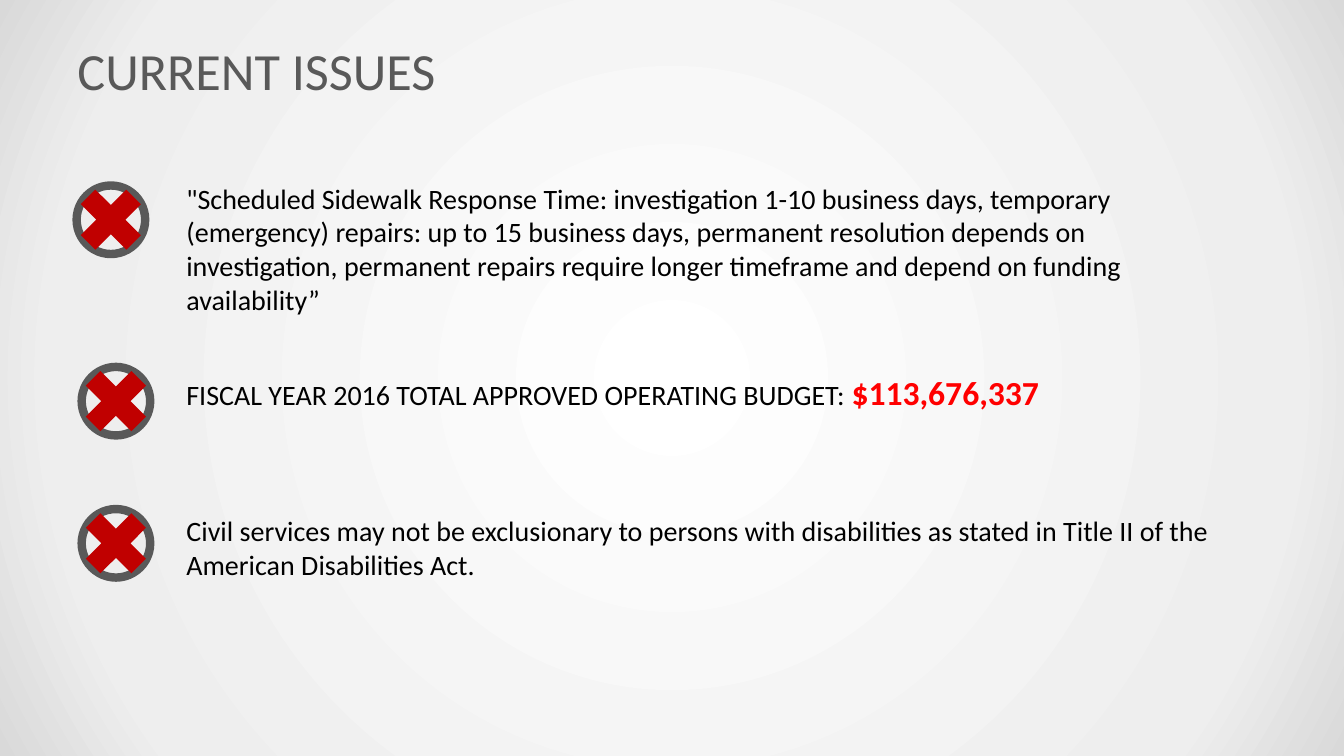
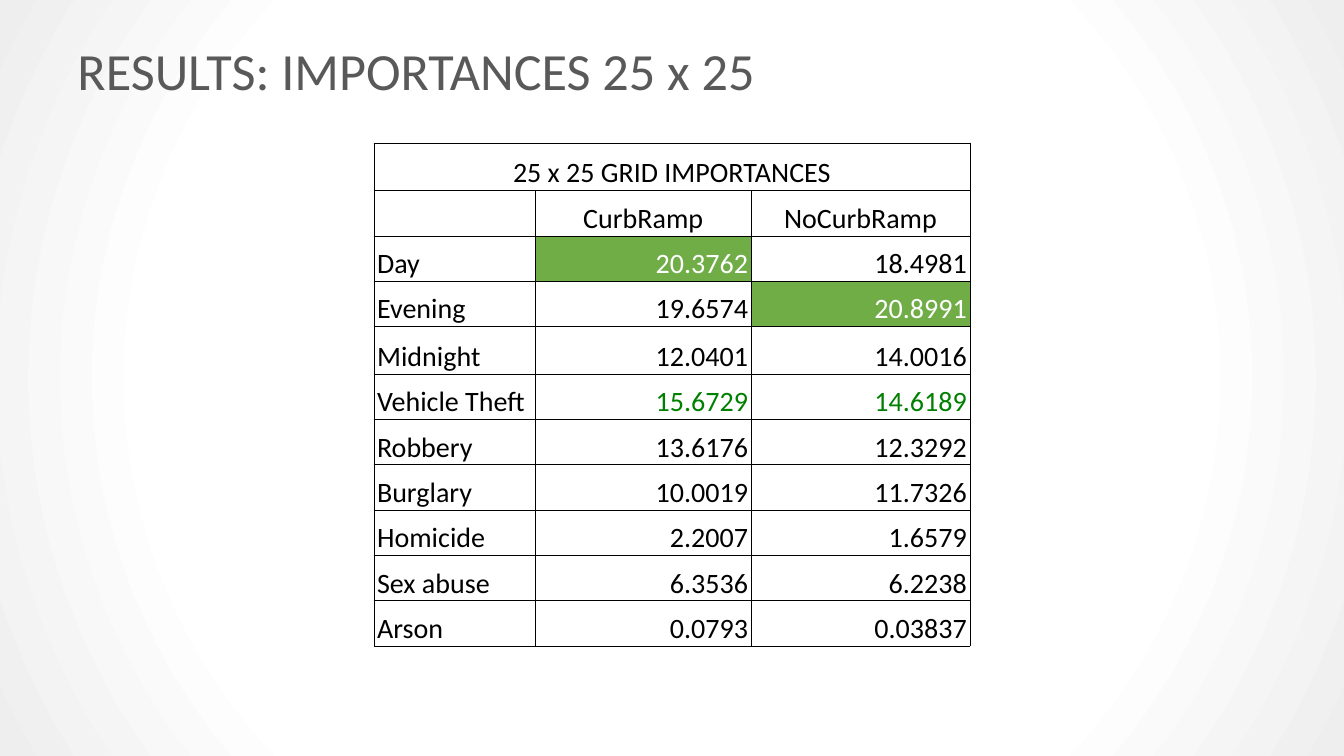
from dataclasses import dataclass

from pptx import Presentation
from pptx.dml.color import RGBColor
from pptx.enum.shapes import MSO_SHAPE
from pptx.enum.text import MSO_ANCHOR, PP_ALIGN
from pptx.oxml import parse_xml
from pptx.oxml.ns import nsdecls
from pptx.util import Inches, Pt

RING, CROSS = MSO_SHAPE.OVAL, MSO_SHAPE.MATH_MULTIPLY
TOP, MIDDLE, BOTTOM = MSO_ANCHOR.TOP, MSO_ANCHOR.MIDDLE, MSO_ANCHOR.BOTTOM
LEFT, CENTER, RIGHT = PP_ALIGN.LEFT, PP_ALIGN.CENTER, PP_ALIGN.RIGHT


@dataclass(frozen=True)
class Theme:
    font: str = "Calibri"
    gray: str = "595959"
    black: str = "000000"
    white: str = "FFFFFF"
    red: str = "FF0000"
    dark_red: str = "C00000"
    green: str = "008000"
    lime: str = "70AD47"
    mist: str = "EEEEEE"
    edge: str = "D9D9D9"
    title: float = 37.3
    body: float = 20
    large: float = 24


T = Theme()


def write(frame, runs, align=LEFT, anchor=TOP):
    """Fill a text frame with runs of (text, size, colour, bold)."""
    frame.word_wrap = True
    frame.vertical_anchor = anchor
    para = frame.paragraphs[0]
    para.alignment = align
    for text, size, color, bold in runs:
        run = para.add_run()
        run.text = text
        run.font.name = T.font
        run.font.size = Pt(size)
        run.font.bold = bold
        run.font.color.rgb = RGBColor.from_string(color)


def add_slide(title, stops):
    """Add a slide with a round gradient background and a title."""
    slide = deck.slides.add_slide(deck.slide_layouts[6])
    marks = "".join(f'<a:gs pos="{pos * 1000}"><a:srgbClr val="{color}"/></a:gs>'
                    for pos, color in stops)
    slide.element.cSld.insert(0, parse_xml(
        f'<p:bg {nsdecls("p", "a")}><p:bgPr><a:gradFill rotWithShape="1">'
        f'<a:gsLst>{marks}</a:gsLst><a:path path="circle">'
        '<a:fillToRect l="50000" t="50000" r="50000" b="50000"/></a:path>'
        '</a:gradFill><a:effectLst/></p:bgPr></p:bg>'))
    box = slide.shapes.add_textbox(Inches(0.67), Inches(0.3), Inches(12), Inches(0.78))
    write(box.text_frame, [(title, T.title, T.gray, False)], anchor=MIDDLE)
    return slide


deck = Presentation()
deck.slide_width, deck.slide_height = Inches(13.33), Inches(7.5)

# Current issues: crossed rings beside statements
slide = add_slide("CURRENT ISSUES", [(0, T.white), (81, T.mist), (100, T.edge)])
issues = [  # ring left, ring top, text top, text width, text height, runs
    (0.76, 1.84, 1.75, 10.67, 1.45, [
        ("\"Scheduled Sidewalk Response Time: investigation 1-10 business days, "
         "temporary (emergency) repairs: up to 15 business days, permanent "
         "resolution depends on investigation, permanent repairs require longer "
         "timeframe and depend on funding availability”", T.body, T.black, False)]),
    (0.81, 3.64, 3.64, 10.75, 0.5, [
        ("FISCAL YEAR 2016 TOTAL APPROVED OPERATING BUDGET: ", T.body, T.black, False),
        ("$113,676,337", T.large, T.red, True)]),
    (0.81, 5.05, 5.05, 10.75, 0.77, [
        ("Civil services may not be exclusionary to persons with disabilities as "
         "stated in Title II of the American Disabilities Act.",
         T.body, T.black, False)]),
]
ring_size, cross_size = 0.68, 0.87
inset = (cross_size - ring_size) / 2
for left, top, text_top, width, height, runs in issues:
    ring = slide.shapes.add_shape(RING, Inches(left), Inches(top),
                                  Inches(ring_size), Inches(ring_size))
    ring.shadow.inherit = False
    ring.fill.background()
    ring.line.color.rgb = RGBColor.from_string(T.gray)
    ring.line.width = Pt(6)
    cross = slide.shapes.add_shape(CROSS, Inches(left - inset), Inches(top - inset),
                                   Inches(cross_size), Inches(cross_size))
    cross.shadow.inherit = False
    cross.fill.solid()
    cross.fill.fore_color.rgb = RGBColor.from_string(T.dark_red)
    cross.line.fill.background()
    box = slide.shapes.add_textbox(Inches(1.75), Inches(text_top),
                                   Inches(width), Inches(height))
    write(box.text_frame, runs)

# Results: table of importances
slide = add_slide("RESULTS: IMPORTANCES 25 x 25", [(67, T.white), (100, T.mist)])
rows = [
    ("25 x 25 GRID IMPORTANCES", "", ""),
    ("", "CurbRamp", "NoCurbRamp"),
    ("Day", "20.3762", "18.4981"),
    ("Evening", "19.6574", "20.8991"),
    ("Midnight", "12.0401", "14.0016"),
    ("Vehicle Theft", "15.6729", "14.6189"),
    ("Robbery", "13.6176", "12.3292"),
    ("Burglary", "10.0019", "11.7326"),
    ("Homicide", "2.2007", "1.6579"),
    ("Sex abuse", "6.3536", "6.2238"),
    ("Arson", "0.0793", "0.03837"),
]
peaks = {(2, 1), (3, 2)}
greens = {(5, 1), (5, 2)}
tall = {0, 4}
table = slide.shapes.add_table(len(rows), 3, Inches(3.71), Inches(1.42),
                               Inches(5.92), Inches(4.99)).table
table.first_row = table.horz_banding = False
for col, width in zip(table.columns, (1.6, 2.14, 2.17)):
    col.width = Inches(width)
for r, row in enumerate(rows):
    table.rows[r].height = Inches(0.47 if r in tall else 0.45)
    for c, text in enumerate(row):
        cell = table.cell(r, c)
        cell.margin_left = cell.margin_right = cell.margin_top = Inches(0.03)
        cell.margin_bottom = 0
        cell.vertical_anchor = BOTTOM
        color = T.black
        if (r, c) in peaks:
            color = T.white
            cell.fill.solid()
            cell.fill.fore_color.rgb = RGBColor.from_string(T.lime)
        else:
            cell.fill.background()
            if (r, c) in greens:
                color = T.green
        if text:
            align = CENTER if r < 2 else RIGHT if c else LEFT
            write(cell.text_frame, [(text, T.body, color, False)], align, BOTTOM)
        # Thin black borders
        props = cell._tc.get_or_add_tcPr()
        for i, side in enumerate("LRTB"):
            props.insert(i, parse_xml(
                f'<a:ln{side} {nsdecls("a")} w="{Pt(0.5)}"><a:solidFill>'
                f'<a:srgbClr val="{T.black}"/></a:solidFill></a:ln{side}>'))
table.cell(0, 0).merge(table.cell(0, 2))

deck.save("out.pptx")
